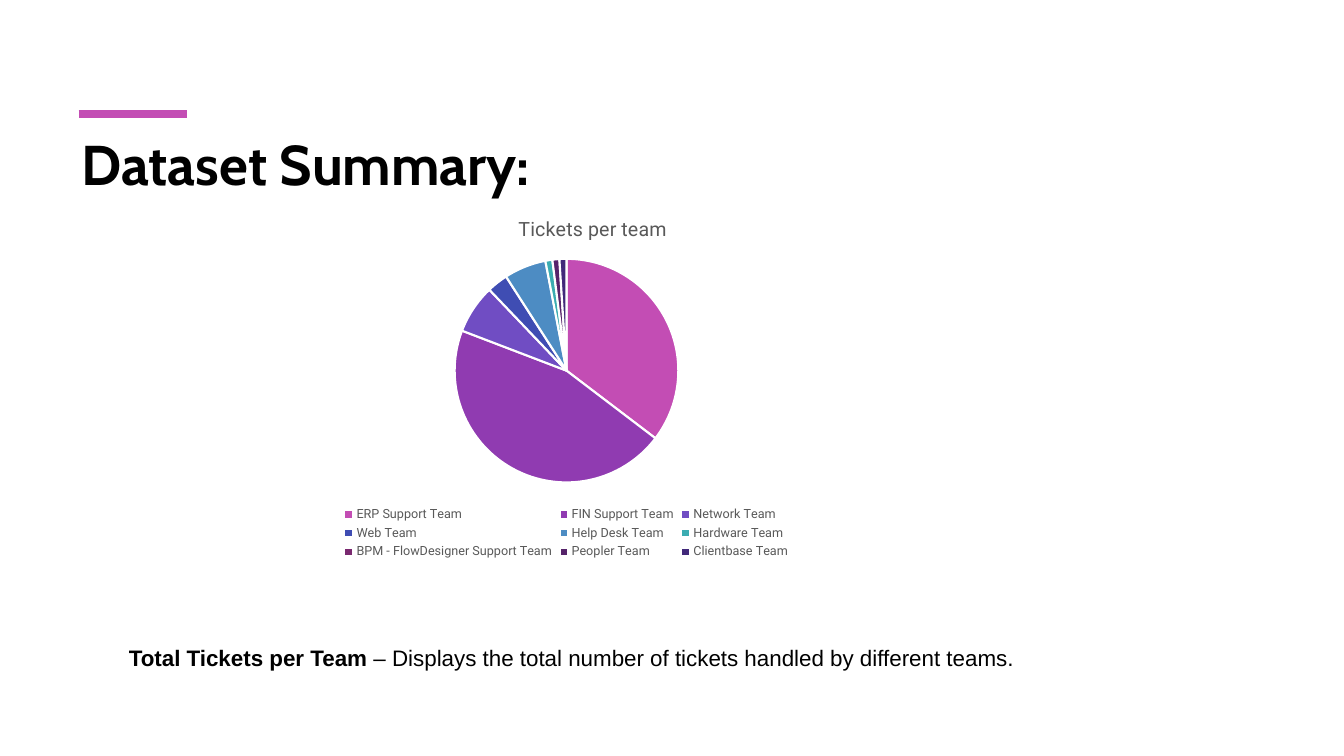
import pptx
import pptx.chart.data
import pptx.dml.color
import pptx.enum.chart
import pptx.enum.shapes
import pptx.enum.text
import pptx.util
import lxml.etree

WIDTH, HEIGHT = 13.33, 7.5
PINK, GREY, BLACK, WHITE = "C34DB4", "595959", "000000", "FFFFFF"

# Team, tickets, slice colour
TEAMS = [
    ("ERP Support Team", 35, PINK),
    ("FIN Support Team", 45, "903BB1"),
    ("Network Team", 7, "704DC3"),
    ("Web Team", 3, "3F4DB3"),
    ("Help Desk Team", 6, "4D8CC3"),
    ("Hardware Team", 1, "3BACB1"),
    ("BPM - FlowDesigner Support Team", 0, "7A2970"),
    ("Peopler Team", 1, "56236A"),
    ("Clientbase Team", 1, "41297A"),
]


def color(hex_string):
    return pptx.dml.color.RGBColor.from_string(hex_string)


def across(share):
    return pptx.util.Inches(WIDTH * share)


def down(share):
    return pptx.util.Inches(HEIGHT * share)


def format_font(font, size, name, hex_string, bold=False):
    font.size = pptx.util.Pt(size)
    font.name = name
    font.color.rgb = color(hex_string)
    font.bold = bold


def add_run(paragraph, text, size=16, name="Arial", hex_string=BLACK, bold=False):
    run = paragraph.add_run()
    run.text = text
    format_font(run.font, size, name, hex_string, bold)


def place(shape, left, top, width, height):
    shape.left, shape.top = across(left), down(top)
    shape.width, shape.height = across(width), down(height)


def add_accent(slide, left, right, top):
    line = slide.shapes.add_connector(
        pptx.enum.shapes.MSO_CONNECTOR.STRAIGHT,
        across(left), down(top), across(right), down(top))
    line.line.color.rgb = color(PINK)
    line.line.width = pptx.util.Pt(6)
    properties = line._element.spPr
    lxml.etree.SubElement(properties, pptx.oxml.ns.qn("a:effectLst"))


def add_title(slide, text):
    title = slide.shapes.title
    place(title, 0.053, 0.157, 0.893, 0.117)
    frame = title.text_frame
    frame.vertical_anchor = pptx.enum.text.MSO_ANCHOR.MIDDLE
    paragraph = frame.paragraphs[0]
    paragraph.alignment = pptx.enum.text.PP_ALIGN.LEFT
    add_run(paragraph, text, size=40, name="Cabin", bold=True)


def set_layout(parent, before, **shares):
    """Place a chart part by shares of the chart's size."""
    qn = pptx.oxml.ns.qn
    for layout in parent.findall(qn("c:layout")):
        parent.remove(layout)
    layout = lxml.etree.Element(qn("c:layout"))
    manual = lxml.etree.SubElement(layout, qn("c:manualLayout"))
    if "w" in shares:
        lxml.etree.SubElement(manual, qn("c:layoutTarget")).set("val", "inner")
    for mode in ("xMode", "yMode"):
        lxml.etree.SubElement(manual, qn("c:" + mode)).set("val", "edge")
    for key, share in shares.items():
        lxml.etree.SubElement(manual, qn("c:" + key)).set("val", str(share))
    parent.find(qn(before)).addprevious(layout)


def add_pie(slide, title):
    data = pptx.chart.data.CategoryChartData()
    data.categories = [team for team, tickets, fill in TEAMS]
    data.add_series("Series 1", [tickets for team, tickets, fill in TEAMS])
    chart = slide.shapes.add_chart(
        pptx.enum.chart.XL_CHART_TYPE.PIE, across(0.038), down(0.26),
        across(0.767), down(0.485), data).chart
    format_font(chart.font, 10, "Roboto", BLACK)

    # Slices
    plot = chart.plots[0]
    plot.vary_by_categories = True
    for index, (team, tickets, fill) in enumerate(TEAMS):
        point = plot.series[0].points[index].format
        point.fill.solid()
        point.fill.fore_color.rgb = color(fill)
        point.line.color.rgb = color(WHITE)
        point.line.width = pptx.util.Pt(1.5)

    # Title and legend
    chart.has_title = True
    add_run(chart.chart_title.text_frame.paragraphs[0], title,
            size=14, name="Roboto", hex_string=GREY)
    chart.has_legend = True
    chart.legend.position = pptx.enum.chart.XL_LEGEND_POSITION.BOTTOM
    chart.legend.include_in_layout = False
    format_font(chart.legend.font, 9, "Roboto", GREY)

    # Positions inside the chart
    chart.chart_title.include_in_layout = False
    set_layout(chart.chart_title._element, "c:overlay", x=0.45, y=0.04)
    set_layout(plot._element.getparent(), "c:pieChart",
               x=0.39, y=0.17, w=0.22, h=0.61)


def add_caption(slide, heading, text):
    box = slide.shapes.add_textbox(
        across(0.0885), down(0.843), across(0.689), down(0.053))
    frame = box.text_frame
    frame.word_wrap = False
    frame.vertical_anchor = pptx.enum.text.MSO_ANCHOR.MIDDLE
    paragraph = frame.paragraphs[0]
    paragraph.alignment = pptx.enum.text.PP_ALIGN.LEFT
    add_run(paragraph, heading, bold=True)
    add_run(paragraph, text)


def main():
    presentation = pptx.Presentation()
    presentation.slide_width = pptx.util.Inches(WIDTH)
    presentation.slide_height = pptx.util.Inches(HEIGHT)
    slide = presentation.slides.add_slide(
        presentation.slide_layouts.get_by_name("Title Only"))
    slide.background.fill.solid()
    slide.background.fill.fore_color.rgb = color(WHITE)

    add_accent(slide, 0.0585, 0.139, 0.151)
    add_title(slide, "Dataset Summary:")
    add_pie(slide, "Tickets per team")
    add_caption(slide, "Total Tickets per Team",
                " – Displays the total number of tickets handled by different teams.")
    presentation.save("out.pptx")


if __name__ == "__main__":
    main()
